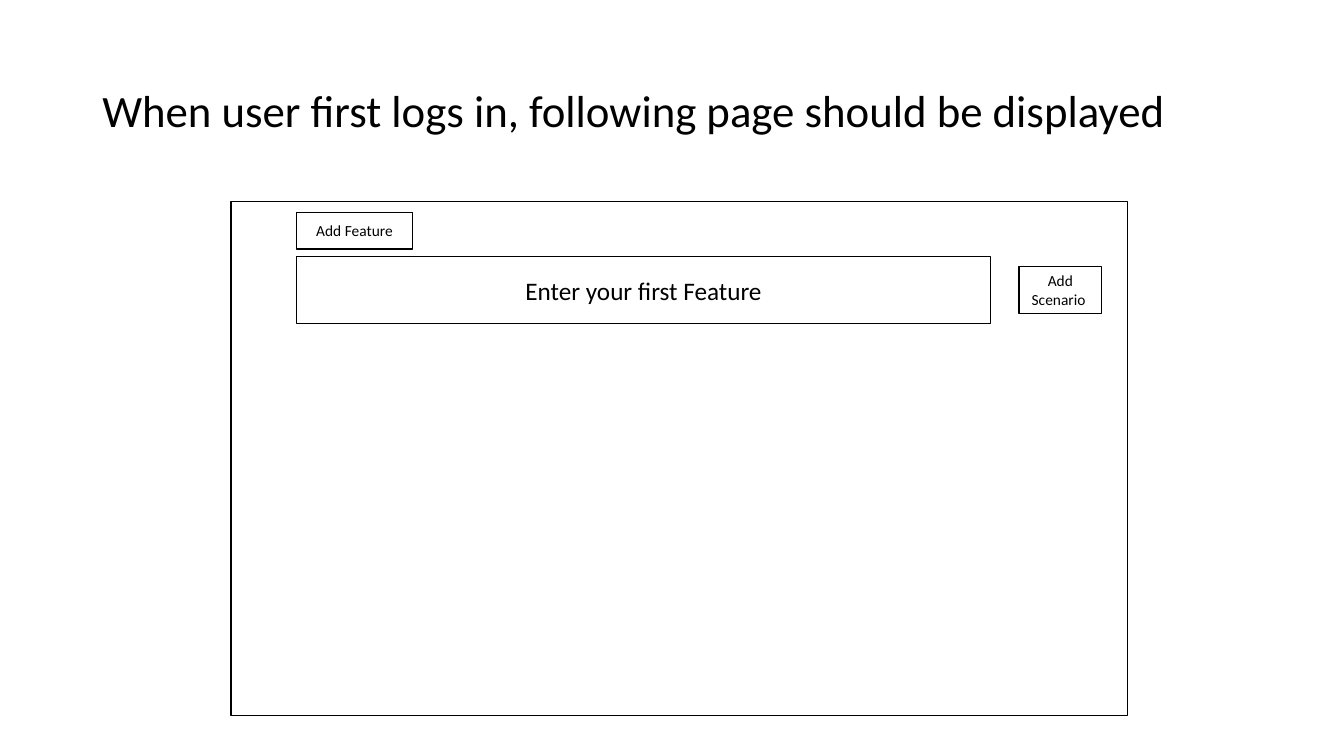
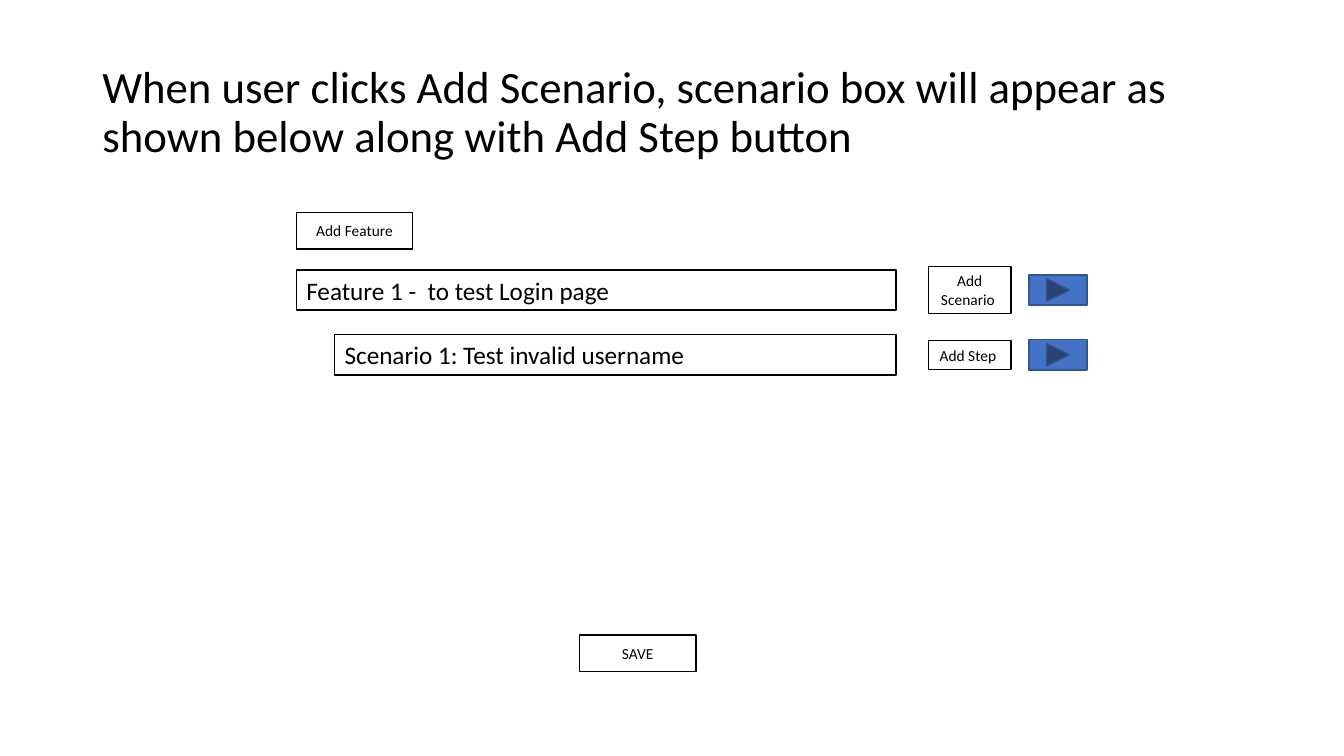
from dataclasses import dataclass

from pptx import Presentation
from pptx.dml.color import RGBColor
from pptx.enum import shapes, text
from pptx.util import Inches, Pt

BLACK = RGBColor(0x00, 0x00, 0x00)
WHITE = RGBColor(0xFF, 0xFF, 0xFF)
BLUE = RGBColor(0x44, 0x72, 0xC4)
DARK_BLUE = RGBColor(0x32, 0x54, 0x91)
FONT = "Calibri"

# Grid: 40 columns by 30 rows
WIDTH, HEIGHT = Inches(13.33), Inches(7.5)
COLUMN, ROW = WIDTH / 40, HEIGHT / 30
LEFT = 8.82            # left edge of the features
FIELD_RIGHT = 26.67    # shared right edge of the filled-in fields
ACTION, PLAY = 27.63, 30.63
TOOLBAR_ROW, FEATURE_ROW, SCENARIO_ROW, SAVE_ROW = 9.16, 11.51, 14.08, 25.92

CENTER, START = text.PP_ALIGN.CENTER, text.PP_ALIGN.LEFT
RECTANGLE = shapes.MSO_SHAPE.RECTANGLE
FORWARD = shapes.MSO_SHAPE.ACTION_BUTTON_FORWARD_OR_NEXT


@dataclass(frozen=True)
class Box:
    """A bordered shape, placed by its left column and middle row."""
    left: float
    middle: float
    width: float
    height: float
    label: str = ""
    size: int = 11
    align: text.PP_ALIGN = CENTER
    kind: shapes.MSO_SHAPE = RECTANGLE
    fill: RGBColor = WHITE
    line: RGBColor = BLACK


@dataclass(frozen=True)
class Page:
    title: str
    boxes: tuple[Box, ...]


# Kinds of control
def wide_button(left: float, middle: float, label: str) -> Box:
    return Box(left, middle, 3.46, 1.44, label)


def action_button(left: float, middle: float, label: str, height: float) -> Box:
    return Box(left, middle, 2.46, height, label)


def field(left: float, middle: float, label: str) -> Box:
    return Box(left, middle, FIELD_RIGHT - left, 1.6, label, size=18, align=START)


def play_button(middle: float) -> Box:
    return Box(PLAY, middle, 1.72, 1.2, kind=FORWARD, fill=BLUE, line=DARK_BLUE)


def scenario_button(left: float) -> Box:
    return action_button(left, FEATURE_ROW, "Add Scenario ", 1.88)


ADD_FEATURE = wide_button(LEFT, TOOLBAR_ROW, "Add Feature")

PAGES = (
    Page("When user first logs in, following page should be displayed", (
        Box(6.88, 18.2, 26.67, 20.4),
        Box(LEFT, FEATURE_ROW, 20.67, 2.68, "Enter your first Feature", size=18),
        scenario_button(30.33),
        ADD_FEATURE,
    )),
    Page("When user clicks Add Scenario, scenario box will appear as shown below "
         "along with Add Step button", (
        field(LEFT, FEATURE_ROW, "Feature 1 -  to test Login page"),
        scenario_button(ACTION),
        field(9.96, SCENARIO_ROW, "Scenario 1: Test invalid username"),
        play_button(FEATURE_ROW),
        ADD_FEATURE,
        action_button(ACTION, SCENARIO_ROW, "Add Step ", 1.16),
        wide_button(17.25, SAVE_ROW, "SAVE"),
        play_button(SCENARIO_ROW),
    )),
)


# Drawing
def place(left: float, top: float, width: float, height: float) -> tuple[int, ...]:
    return (round(left * COLUMN), round(top * ROW),
            round(width * COLUMN), round(height * ROW))


def write(shape, words: str, *, size: int, align=START, spacing: float = 1.0) -> None:
    frame = shape.text_frame
    frame.word_wrap = True
    frame.vertical_anchor = text.MSO_ANCHOR.MIDDLE
    para = frame.paragraphs[0]
    para.alignment, para.line_spacing = align, spacing
    span = para.add_run()
    span.text = words
    span.font.name, span.font.size = FONT, Pt(size)
    span.font.color.rgb = BLACK


def draw_box(slide, box: Box) -> None:
    top = box.middle - box.height / 2
    shape = slide.shapes.add_shape(
        box.kind, *place(box.left, top, box.width, box.height))
    shape.shadow.inherit = False
    shape.fill.solid()
    shape.fill.fore_color.rgb = box.fill
    shape.line.color.rgb = box.line
    shape.line.width = Pt(1)
    if box.label:
        write(shape, box.label, size=box.size, align=box.align)


def draw_page(deck, page: Page) -> None:
    slide = deck.slides.add_slide(deck.slide_layouts[6])
    title = slide.shapes.add_textbox(*place(2.75, 1.6, 34.5, 5.8))
    write(title, page.title, size=32, spacing=0.9)
    for box in page.boxes:
        draw_box(slide, box)


deck = Presentation()
deck.slide_width, deck.slide_height = WIDTH, HEIGHT
for page in PAGES:
    draw_page(deck, page)
deck.save("out.pptx")
